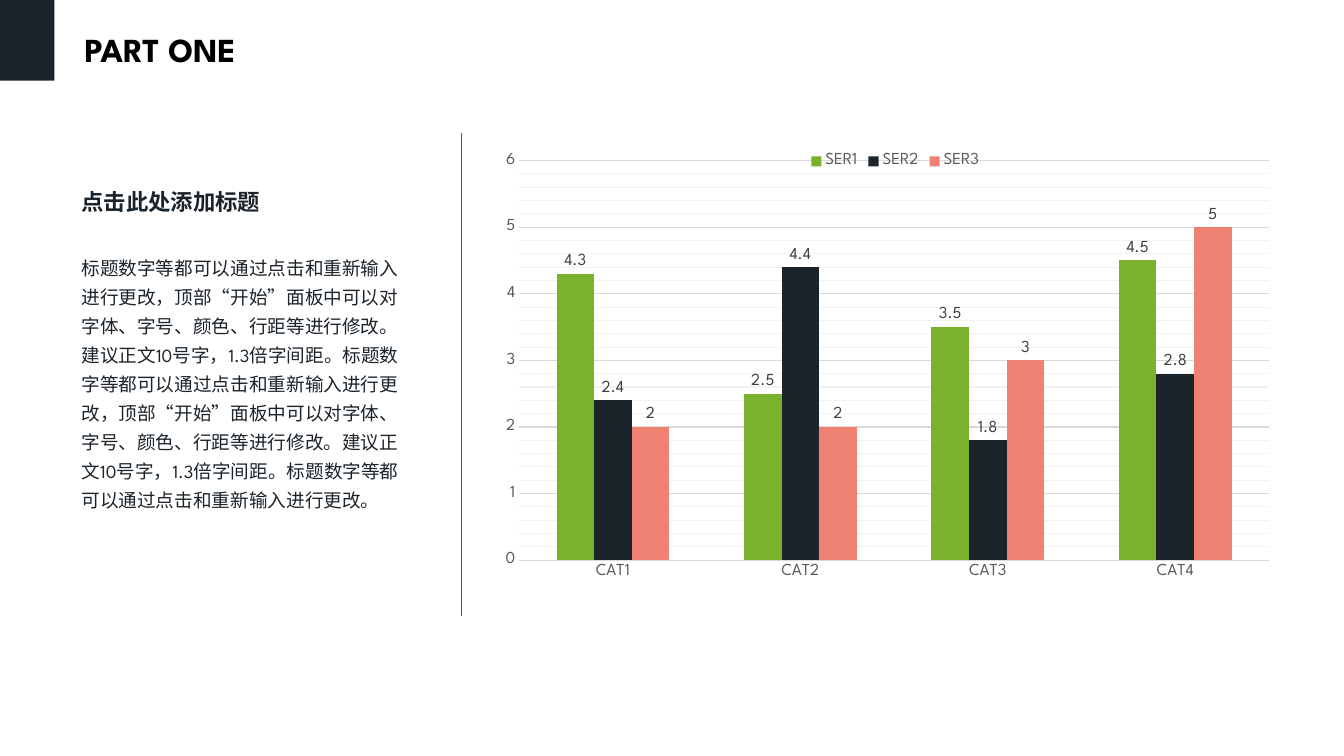
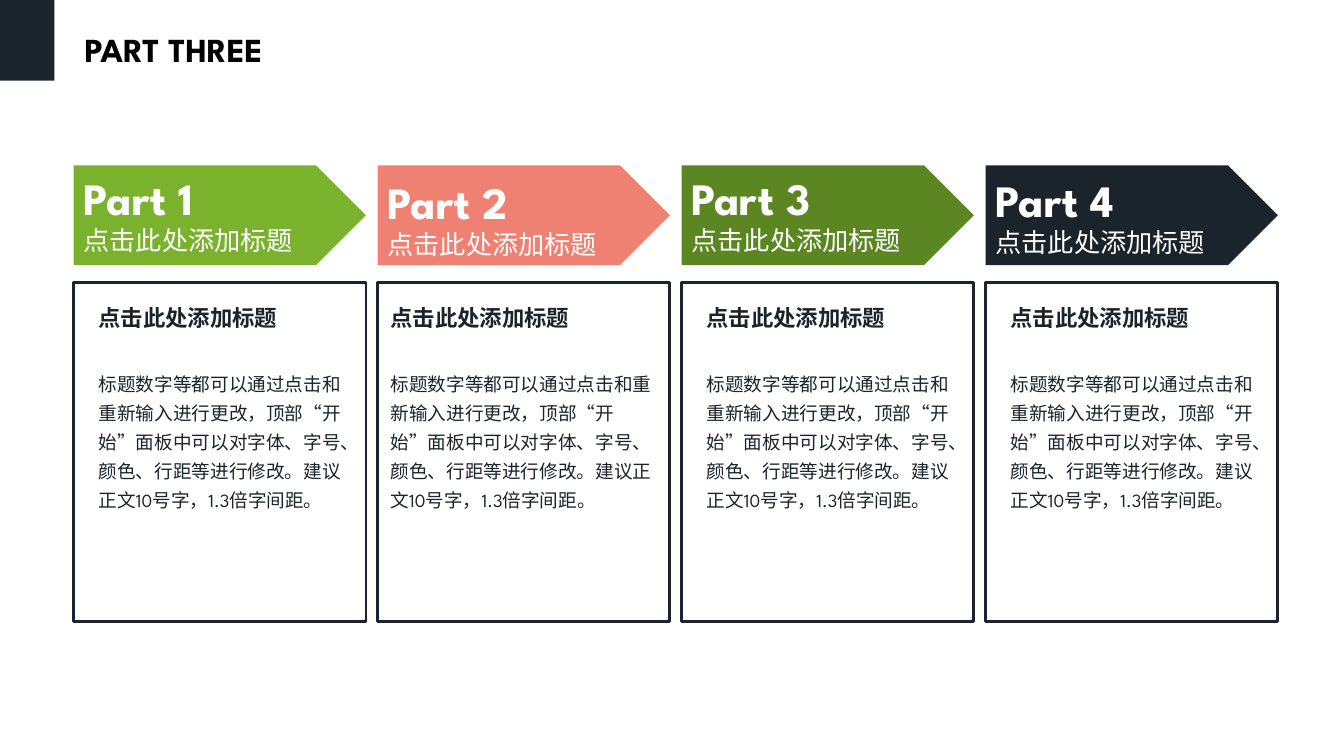
from dataclasses import dataclass

import pptx
import pptx.chart.data
import pptx.dml.color
import pptx.enum.chart
import pptx.enum.lang
import pptx.enum.shapes
import pptx.enum.text
import pptx.oxml
import pptx.oxml.ns
import pptx.util
from lxml import etree

Inches = pptx.util.Inches
Pt = pptx.util.Pt
SHAPE = pptx.enum.shapes.MSO_SHAPE

FONT = "League Spartan"
DARK, INK, GREEN, CORAL, OLIVE = "1B242A", "1C242B", "7AB22D", "EF8172", "5B8622"
BLACK, WHITE, RULE = "000000", "FFFFFF", "545C60"
AXIS_TEXT, LABEL_TEXT, GRID, MINOR_GRID = "595959", "404040", "D9D9D9", "F2F2F2"

COL_LEFT, COL_PITCH, COL_WIDTH = 0.73, 3.015, 2.9
ARROW_TOP, ARROW_HEIGHT = 1.64, 0.99
CARD_TOP, CARD_HEIGHT = 2.8, 3.37

HEADING = "点击此处添加标题"
OPENING = "标题数字等都可以通过点击和重新输入进行更改"
ADVICE = OPENING + "，顶部“开始”面板中可以对字体、字号、颜色、行距等进行修改。建议正文10号字，1.3倍字间距。"


@dataclass
class Box:
    left: float
    top: float
    width: float
    height: float

    def emu(self) -> tuple:
        return tuple(Inches(v) for v in (self.left, self.top, self.width, self.height))


@dataclass
class Part:
    name: str
    color: str
    label_drop: float = 0
    text_indent: float = 0.15
    text_width: float = 2.75


@dataclass
class Series:
    name: str
    values: tuple
    color: str


PARTS = [
    Part("Part 1", GREEN),
    Part("Part 2", CORAL, 0.04, 0.03, 2.87),
    Part("Part 3", OLIVE),
    Part("Part 4", DARK, 0.02),
]
CATEGORIES = ["CAT1", "CAT2", "CAT3", "CAT4"]
SERIES = [
    Series("SER1", (4.3, 2.5, 3.5, 4.5), GREEN),
    Series("SER2", (2.4, 4.4, 1.8, 2.8), DARK),
    Series("SER3", (2, 2, 3, 5), CORAL),
]


def rgb(value: str):
    return pptx.dml.color.RGBColor.from_string(value)


def style_font(font, size: float, color: str, bold: bool = False) -> None:
    font.name = FONT
    font.size = Pt(size)
    font.bold = bold
    font.color.rgb = rgb(color)


def add_run(p, text: str, size: float, color: str, bold: bool = False) -> None:
    r = p.add_run()
    r.text = text
    style_font(r.font, size, color, bold)
    if not text.isascii():
        r.font.language_id = pptx.enum.lang.MSO_LANGUAGE_ID.SIMPLIFIED_CHINESE


def add_shape(slide, kind, box: Box, fill: str = "", line: str = "", weight: float = 0):
    sp = slide.shapes.add_shape(kind, *box.emu())
    sp.shadow.inherit = False
    if fill:
        sp.fill.solid()
        sp.fill.fore_color.rgb = rgb(fill)
    else:
        sp.fill.background()
    if line:
        sp.line.color.rgb = rgb(line)
        sp.line.width = Pt(weight)
    else:
        sp.line.fill.background()
    return sp


def add_titled_slide(prs, title: str):
    slide = prs.slides.add_slide(prs.slide_layouts[5])
    add_shape(slide, SHAPE.RECTANGLE, Box(0, 0, 0.54, 0.8), DARK)
    sp = slide.shapes.title
    sp.left, sp.top, sp.width, sp.height = Box(0.74, 0.22, 5.32, 0.58).emu()
    tf = sp.text_frame
    tf.auto_size = pptx.enum.text.MSO_AUTO_SIZE.NONE
    tf.vertical_anchor = pptx.enum.text.MSO_ANCHOR.MIDDLE
    p = tf.paragraphs[0]
    p.alignment = pptx.enum.text.PP_ALIGN.LEFT
    p.line_spacing = 0.9
    add_run(p, title, 24, BLACK, True)
    return slide


def add_passage(slide, box: Box, body: str) -> None:
    """Add the bold heading with its body text below."""
    tf = slide.shapes.add_textbox(*box.emu()).text_frame
    tf.word_wrap = True
    tf.auto_size = pptx.enum.text.MSO_AUTO_SIZE.SHAPE_TO_FIT_TEXT
    p = tf.paragraphs[0]
    p.line_spacing = 1.3
    add_run(p, HEADING, 16, INK, True)
    p = tf.add_paragraph()
    p.line_spacing = 1.3
    p.space_before = Pt(25)
    add_run(p, body, 13.3, INK)


def add_rule(slide, x: float, top: float, bottom: float) -> None:
    line = slide.shapes.add_connector(
        pptx.enum.shapes.MSO_CONNECTOR.STRAIGHT,
        Inches(x), Inches(top), Inches(x), Inches(bottom))
    line.line.color.rgb = rgb(RULE)
    line.line.width = Pt(0.5)
    etree.SubElement(line.element.spPr, pptx.oxml.ns.qn("a:effectLst"))


def find_in_chart(chart, tag: str):
    return chart.element.find(".//" + pptx.oxml.ns.qn(tag))


def place_plot(chart, x: float, y: float, w: float, h: float) -> None:
    """Fix the inner plot area, in shares of the chart's size."""
    plot_area = find_in_chart(chart, "c:plotArea")
    for old in plot_area.findall(pptx.oxml.ns.qn("c:layout")):
        plot_area.remove(old)
    settings = [("layoutTarget", "inner"), ("xMode", "edge"), ("yMode", "edge"),
                ("x", x), ("y", y), ("w", w), ("h", h)]
    items = "".join(f'<c:{tag} val="{value}"/>' for tag, value in settings)
    plot_area.insert(0, pptx.oxml.parse_xml(
        f'<c:layout {pptx.oxml.ns.nsdecls("c")}>'
        f"<c:manualLayout>{items}</c:manualLayout></c:layout>"))


def style_line(line, color: str) -> None:
    line.color.rgb = rgb(color)
    line.width = Pt(0.75)


def style_minor_gridlines(chart, color: str) -> None:
    find_in_chart(chart, "c:minorGridlines").append(pptx.oxml.parse_xml(
        f'<c:spPr {pptx.oxml.ns.nsdecls("c", "a")}><a:ln w="{Pt(0.75)}">'
        f'<a:solidFill><a:srgbClr val="{color}"/></a:solidFill></a:ln></c:spPr>'))


def add_column_chart(slide, box: Box) -> None:
    enums = pptx.enum.chart
    data = pptx.chart.data.CategoryChartData()
    data.categories = CATEGORIES
    for series in SERIES:
        data.add_series(series.name, series.values)
    chart = slide.shapes.add_chart(
        enums.XL_CHART_TYPE.COLUMN_CLUSTERED, *box.emu(), data).chart
    style_font(chart.font, 10, BLACK)
    chart.has_title = False
    chart.has_legend = True
    chart.legend.position = enums.XL_LEGEND_POSITION.TOP
    chart.legend.include_in_layout = False
    style_font(chart.legend.font, 12, AXIS_TEXT)

    for axis in (chart.category_axis, chart.value_axis):
        axis.major_tick_mark = enums.XL_TICK_MARK.NONE
        axis.minor_tick_mark = enums.XL_TICK_MARK.NONE
        style_font(axis.tick_labels.font, 12, AXIS_TEXT)
    style_line(chart.category_axis.format.line, GRID)
    axis = chart.value_axis
    axis.minimum_scale, axis.maximum_scale = 0, 6
    axis.major_unit, axis.minor_unit = 1, 0.2
    axis.format.line.fill.background()
    axis.has_major_gridlines = axis.has_minor_gridlines = True
    style_line(axis.major_gridlines.format.line, GRID)
    style_minor_gridlines(chart, MINOR_GRID)

    plot = chart.plots[0]
    plot.gap_width, plot.overlap = 199, 0
    plot.vary_by_categories = False
    for drawn, series in zip(plot.series, SERIES):
        drawn.format.fill.solid()
        drawn.format.fill.fore_color.rgb = rgb(series.color)
        labels = drawn.data_labels
        labels.show_value = True
        labels.position = enums.XL_LABEL_POSITION.OUTSIDE_END
        style_font(labels.font, 12, LABEL_TEXT)
    place_plot(chart, 0.023, 0.04, 0.951, 0.862)


def add_part(slide, column: int, part: Part) -> None:
    """Draw one column: the arrow with its label and the card below."""
    left = COL_LEFT + column * COL_PITCH
    add_shape(slide, SHAPE.RECTANGLE,
              Box(left, CARD_TOP, COL_WIDTH, CARD_HEIGHT), line=INK, weight=2)
    add_passage(slide, Box(left + part.text_indent, CARD_TOP + 0.09, part.text_width, 2.55),
                ADVICE)
    sp = add_shape(slide, SHAPE.PENTAGON,
                   Box(left, ARROW_TOP, COL_WIDTH, ARROW_HEIGHT), part.color)
    tf = sp.text_frame
    tf.word_wrap = True
    tf.vertical_anchor = pptx.enum.text.MSO_ANCHOR.TOP
    tf.margin_top, tf.margin_bottom = Inches(0.05 + part.label_drop), 0
    for i, (text, size, bold) in enumerate([(part.name, 32, True), (HEADING, 18.7, False)]):
        p = tf.add_paragraph() if i else tf.paragraphs[0]
        p.alignment = pptx.enum.text.PP_ALIGN.LEFT
        add_run(p, text, size, WHITE, bold)


def main() -> None:
    prs = pptx.Presentation()
    prs.slide_width, prs.slide_height = Inches(13.33), Inches(7.5)

    slide = add_titled_slide(prs, "PART ONE")
    add_passage(slide, Box(0.71, 1.74, 3.37, 3.72), ADVICE * 2 + OPENING + "。")
    add_rule(slide, 4.58, 1.32, 6.11)
    add_column_chart(slide, Box(4.97, 1.41, 7.82, 4.6))

    slide = add_titled_slide(prs, "PART THREE")
    for column, part in enumerate(PARTS):
        add_part(slide, column, part)

    prs.save("out.pptx")


if __name__ == "__main__":
    main()
